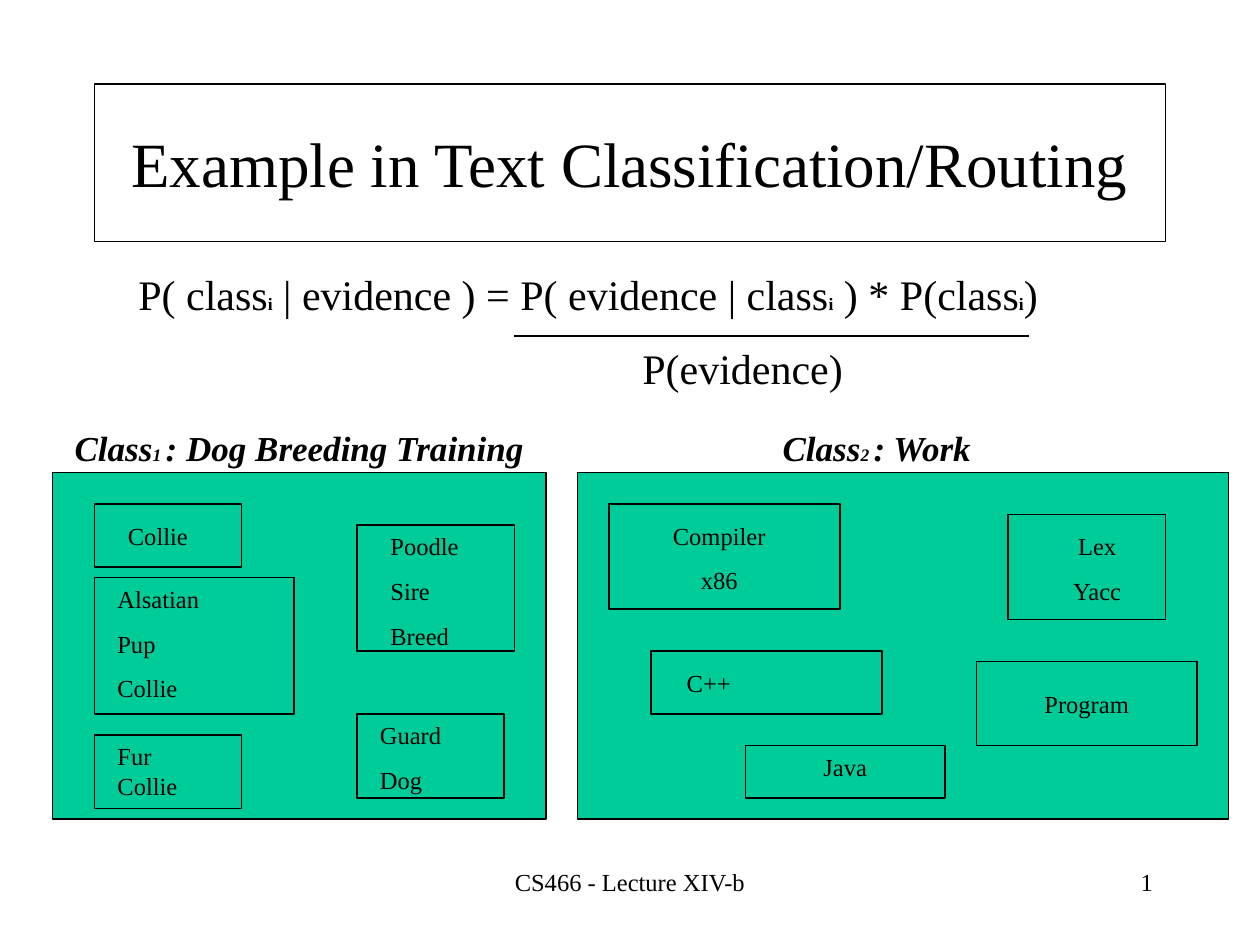
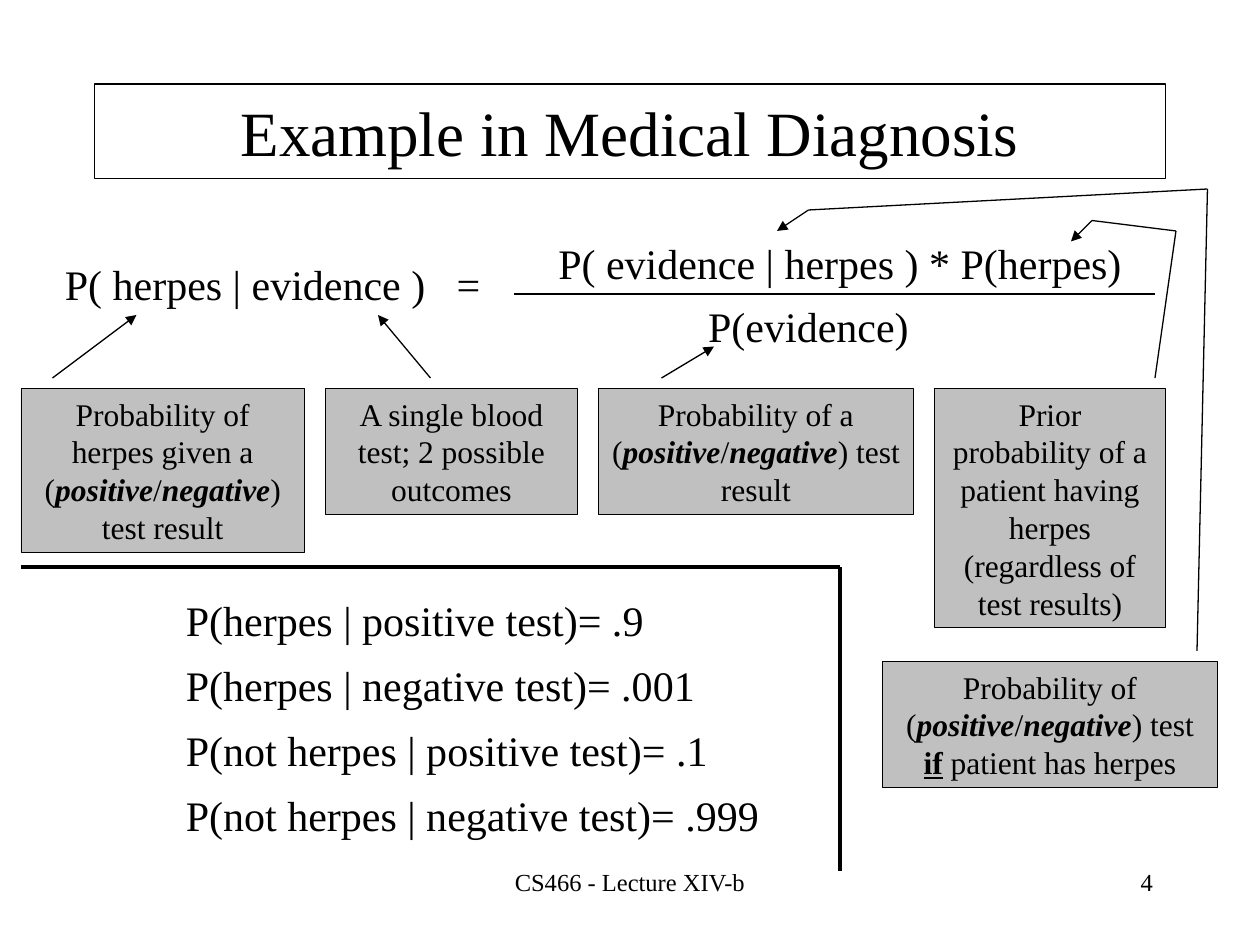
from itertools import pairwise

from lxml import etree
from pptx import Presentation
from pptx.dml.color import RGBColor
from pptx.enum.shapes import MSO_CONNECTOR, MSO_SHAPE
from pptx.enum.text import MSO_ANCHOR, MSO_AUTO_SIZE, PP_ALIGN
from pptx.oxml.ns import qn
from pptx.util import Cm, Pt

BLACK = RGBColor(0x00, 0x00, 0x00)
GREEN = RGBColor(0x00, 0xCC, 0x99)
GRAY = RGBColor(0xC0, 0xC0, 0xC0)
FONT = "Times New Roman"

LEFT, CENTER, RIGHT = PP_ALIGN.LEFT, PP_ALIGN.CENTER, PP_ALIGN.RIGHT
TOP, MIDDLE = MSO_ANCHOR.TOP, MSO_ANCHOR.MIDDLE
NO_FIT, GROW = MSO_AUTO_SIZE.NONE, MSO_AUTO_SIZE.SHAPE_TO_FIT_TEXT
RECTANGLE, STRAIGHT = MSO_SHAPE.RECTANGLE, MSO_CONNECTOR.STRAIGHT

TITLE_AND_CONTENT, TITLE_ONLY = 1, 5
GRID = Cm(2.54) / 12  # every position below counts these steps

SUBSCRIPT = {"size": 10, "bold": True}
STRONG = {"bold": True, "italic": True}
UNDERLINED = {"bold": True, "underline": True}
OUTCOME = [("positive", STRONG), "/", ("negative", STRONG)]
FOOTER = "CS466 - Lecture XIV-b"


def grid(*steps):
    return [round(GRID * step) for step in steps]


class Deck:
    def __init__(self):
        self.prs = Presentation()
        self.prs.slide_width, self.prs.slide_height = Cm(25.4), Cm(19.05)
        self.slide = None

    def start_slide(self, layout, title, title_height, number):
        self.slide = self.prs.slides.add_slide(self.prs.slide_layouts[layout])
        heading = self.slide.shapes.title
        self.place(heading, (9, 8, 102, title_height))
        heading.line.color.rgb = BLACK
        heading.line.width = Pt(0.75)
        self.fill_text(heading, [[title]], 36, CENTER, anchor=MIDDLE, fit=NO_FIT)
        self.text((41, 82, 38, 6), [[FOOTER]], 14, CENTER, fit=NO_FIT)
        self.text((86, 82, 25, 6), [[number]], 14, RIGHT, fit=NO_FIT)

    def place(self, shape, at):
        shape.left, shape.top, shape.width, shape.height = grid(*at)

    def fill_text(self, shape, paragraphs, size, align=LEFT, before=0,
                  anchor=TOP, fit=GROW, **base):
        """Fill a shape; each paragraph lists strings or (string, style) pairs."""
        frame = shape.text_frame
        frame.word_wrap = True
        frame.auto_size = fit
        frame.vertical_anchor = anchor
        for index, pieces in enumerate(paragraphs):
            paragraph = frame.add_paragraph() if index else frame.paragraphs[0]
            paragraph.alignment = align
            paragraph.space_before = Pt(before)
            for piece in pieces:
                words, own = (piece, {}) if isinstance(piece, str) else piece
                style = {"size": size, **base, **own}
                run = paragraph.add_run()
                run.text = words
                font = run.font
                font.name = FONT
                font.color.rgb = BLACK
                font.size = Pt(style["size"])
                font.bold = style.get("bold", False)
                font.italic = style.get("italic", False)
                font.underline = style.get("underline", False)

    def text(self, at, paragraphs, size, align=LEFT, **options):
        box = self.slide.shapes.add_textbox(*grid(*at))
        self.fill_text(box, paragraphs, size, align, **options)

    def equation(self, at, *pieces, align=LEFT):
        self.text((*at, 6), [pieces], 24, align, before=15)

    def box(self, at, fill, line_width=0.75):
        shape = self.slide.shapes.add_shape(RECTANGLE, *grid(*at))
        shape.shadow.inherit = False
        shape.fill.solid()
        shape.fill.fore_color.rgb = fill
        shape.line.color.rgb = BLACK
        shape.line.width = Pt(line_width)
        return shape

    def note(self, at, *pieces):
        self.fill_text(self.box(at, GRAY, 0.5), [pieces], 18, CENTER, before=11.2)

    def route(self, *points, width=0.75, arrow=False):
        """Join points with straight lines, with an optional arrowhead at the end."""
        for start, end in pairwise(points):
            line = self.slide.shapes.add_connector(STRAIGHT, *grid(*start, *end))
            line.line.color.rgb = BLACK
            line.line.width = Pt(width)
            properties = line._element.spPr
            if arrow and end == points[-1]:
                etree.SubElement(properties.find(qn("a:ln")), qn("a:tailEnd"),
                                 type="triangle")
            etree.SubElement(properties, qn("a:effectLst"))

    def plain_list(self, at, lines):
        body = self.slide.placeholders[1]
        self.place(body, at)
        self.fill_text(body, [[line] for line in lines], 24, before=8.4, fit=NO_FIT)
        for paragraph in body.text_frame.paragraphs:
            properties = paragraph._p.get_or_add_pPr()
            properties.set("marL", "0")
            properties.set("indent", "0")
            etree.SubElement(properties, qn("a:buNone"))

    def class_panel(self, at, heading_at, number, name, documents, align):
        self.box(at, GREEN)
        self.text((*heading_at, 5.25),
                  [["Class", (f"{number} ", {"size": 10}), f": {name}"]],
                  20, CENTER, before=12.5, **STRONG)
        for document_at, words_at, words in documents:
            self.box(document_at, GREEN)
            self.text((*words_at, 4.2 * len(words)), [[word] for word in words],
                      14, align, before=8.8)


def text_classification(deck):
    deck.start_slide(TITLE_ONLY, "Example in Text Classification/Routing", 15, "1")
    index = ("i", SUBSCRIPT)
    deck.equation((12, 25, 96), "P( class", index, " | evidence ) = P( evidence | class",
                  index, " ) * P(class", index, ")")
    deck.route((49, 32), (98, 32))
    deck.equation((60, 32, 24), "P(evidence)")

    dog_documents = [
        ((34, 50, 15, 12), (36, 50, 10), ["Poodle", "Sire", "Breed"]),
        ((9, 48, 14, 6), (11, 49, 10), ["Collie"]),
        ((9, 70, 14, 7), (10, 70, 10), ["Fur Collie"]),
        ((34, 68, 14, 8), (35, 68, 13), ["Guard", "Dog"]),
        ((9, 55, 19, 13), (10, 55, 17), ["Alsatian", "Pup", "Collie"]),
    ]
    work_documents = [
        ((96, 49, 15, 10), (95, 50, 19), ["Lex", "Yacc"]),
        ((93, 63, 21, 8), (94, 65, 19), ["Program"]),
        ((71, 71, 19, 5), (71, 71, 19), ["Java"]),
        ((62, 62, 22, 6), (58, 63, 19), ["C++"]),
        ((58, 48, 22, 10), (59, 49, 19), ["Compiler", "x86"]),
    ]
    deck.class_panel((5, 45, 47, 33), (5, 40, 47), 1, "Dog Breeding Training",
                     dog_documents, LEFT)
    deck.class_panel((55, 45, 62, 33), (66, 40, 35), 2, "Work",
                     work_documents, CENTER)


def medical_diagnosis(deck):
    deck.start_slide(TITLE_AND_CONTENT, "Example in Medical Diagnosis", 9, "4")
    deck.equation((5, 24, 38), "P( herpes | evidence )")
    deck.equation((42.3, 24, 6), "=")
    deck.equation((49, 22, 62), "P( evidence | herpes ) * P(herpes)", align=CENTER)
    deck.route((49, 28), (110, 28))
    deck.equation((56, 28, 42), "P(evidence)", align=CENTER)

    deck.note((2, 37, 27, 15.6), "Probability of herpes given a (", *OUTCOME,
              ") test result")
    deck.note((31, 37, 24, 12), "A single blood test; 2 possible outcomes")
    deck.note((57, 37, 30, 12), "Probability of a (", *OUTCOME, ") test result")
    deck.note((89, 37, 22, 22.8), "Prior probability of a patient having herpes "
              "(regardless of test results)")
    deck.note((84, 63, 32, 12), "Probability of (", *OUTCOME, ") test ",
              ("if", UNDERLINED), " patient has herpes")

    for points in (
        [(5, 36), (13, 30)],
        [(41, 36), (36, 30)],
        [(63, 36), (68, 33)],
        [(110, 36), (112, 22), (104, 21), (102, 23)],
        [(114, 62), (115, 18), (77, 20), (74, 22)],
    ):
        deck.route(*points, arrow=True)

    deck.route((2, 54), (80, 54), (80, 83), width=2.75)
    deck.plain_list((16.5, 56, 62, 24), [
        "P(herpes | positive test)= .9",
        "P(herpes | negative test)= .001",
        "P(not herpes | positive test)= .1",
        "P(not herpes | negative test)= .999",
    ])


def main():
    deck = Deck()
    text_classification(deck)
    medical_diagnosis(deck)
    deck.prs.save("out.pptx")


if __name__ == "__main__":
    main()
